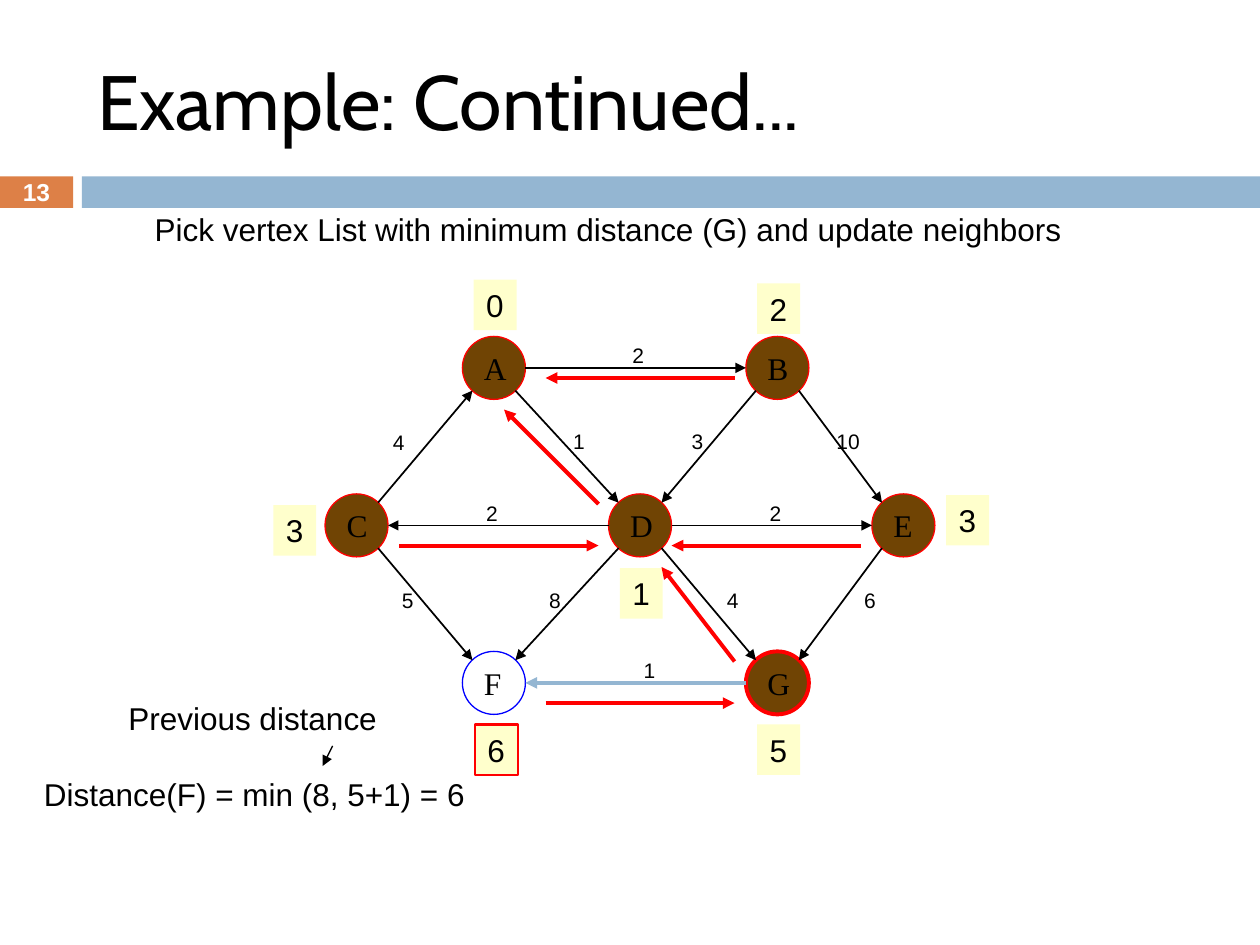
from math import copysign

from lxml.etree import SubElement
from pptx import Presentation
from pptx.dml.color import RGBColor
from pptx.enum.shapes import MSO_CONNECTOR, MSO_SHAPE
from pptx.enum.text import MSO_ANCHOR, MSO_AUTO_SIZE, PP_ALIGN
from pptx.oxml.ns import qn
from pptx.util import Inches, Pt

BLACK, WHITE, RED, BLUE = "000000", "FFFFFF", "FF0000", "94B6D2"
BROWN, CREAM, ORANGE = "704404", "FFFFCC", "DD8047"
SIZE = 0.5  # node diameter


def color(code):
    return RGBColor.from_string(code)


class Canvas:
    font = "Arial"

    def __init__(self, slide):
        self.slide = slide
        self.shapes = slide.shapes

    def letter(self, shape, text, size, font=None, ink=BLACK, bold=False,
               align=PP_ALIGN.LEFT, anchor=MSO_ANCHOR.MIDDLE, wrap=False):
        frame = shape.text_frame
        frame.text = text
        frame.word_wrap = wrap
        frame.auto_size = MSO_AUTO_SIZE.NONE
        frame.vertical_anchor = anchor
        para = frame.paragraphs[0]
        para.alignment = align
        style = para.runs[0].font
        style.name = font or self.font
        style.size = Pt(size)
        style.bold = bold
        style.color.rgb = color(ink)

    def title(self, text, *box):
        shape = self.shapes.title
        shape.left, shape.top, shape.width, shape.height = map(Inches, box)
        self.letter(shape, text, 44, font="Cabin", wrap=True)

    def shape(self, kind, box, fill=None, line=None, width=0.75):
        shape = self.shapes.add_shape(kind, *map(Inches, box))
        shape.shadow.inherit = False
        if fill:
            shape.fill.solid()
            shape.fill.fore_color.rgb = color(fill)
        else:
            shape.fill.background()
        if line:
            shape.line.color.rgb = color(line)
            shape.line.width = Pt(width)
        else:
            shape.line.fill.background()
        return shape

    def label(self, text, box, size, **style):
        self.letter(self.shapes.add_textbox(*map(Inches, box)), text, size, **style)

    def node(self, name, x, y, fill=BROWN, line=RED, width=0.75):
        box = (x - SIZE / 2, y - SIZE / 2, SIZE, SIZE)
        shape = self.shape(MSO_SHAPE.OVAL, box, fill, line, width)
        self.letter(shape, name, 18, font="Times New Roman")

    def badge(self, text, x, y, line=None):
        shape = self.shape(MSO_SHAPE.RECTANGLE, (x, y, 0.34, 0.4), CREAM, line, 1.25)
        self.letter(shape, text, 18, anchor=MSO_ANCHOR.TOP)

    def arrow(self, start, end, ink=BLACK, width=1):
        ends = map(Inches, (*start, *end))
        line = self.shapes.add_connector(MSO_CONNECTOR.STRAIGHT, *ends)
        line.line.color.rgb = color(ink)
        line.line.width = Pt(width)
        props = line.element.spPr
        SubElement(props.find(qn("a:ln")), qn("a:tailEnd"), type="triangle")
        SubElement(props, qn("a:effectLst"))

    def edge(self, start, end, ink=BLACK, width=1):
        """Join the rims of two nodes, level or at 45 degrees."""
        (x1, y1), (x2, y2) = start, end
        dx = copysign(0.25 if y1 == y2 else 0.17, x2 - x1)
        dy = 0 if y1 == y2 else copysign(0.18, y2 - y1)
        self.arrow((x1 + dx, y1 + dy), (x2 - dx, y2 - dy), ink, width)


def main():
    deck = Presentation()
    deck.slide_width, deck.slide_height = Inches(10), Inches(7.5)
    art = Canvas(deck.slides.add_slide(deck.slide_layouts[5]))

    # Title, band and slide number
    art.shape(MSO_SHAPE.RECTANGLE, (0, 1.4, 0.58, 0.25), ORANGE)
    art.shape(MSO_SHAPE.RECTANGLE, (0.65, 1.4, 9.35, 0.25), BLUE)
    art.title("Example: Continued...", 0.67, 0.25, 8.92, 1.08)
    art.label("13", (0, 1.39, 0.58, 0.27), 14, ink=WHITE, bold=True,
              align=PP_ALIGN.CENTER, wrap=True)

    # Graph nodes, by centre
    top, mid, low = 2.92, 4.17, 5.42
    nodes = {"A": (3.92, top), "B": (6.17, top), "C": (2.83, mid),
             "D": (5.08, mid), "E": (7.17, mid), "F": (3.92, low),
             "G": (6.17, low)}
    looks = {"F": {"fill": None, "line": "0000FF"}, "G": {"width": 2.25}}
    for name, spot in nodes.items():
        art.node(name, *spot, **looks.get(name, {}))

    # Edges with the place of each weight
    edges = [("AB", "2", 4.92, 2.67), ("CA", "4", 3.02, 3.36),
             ("AD", "1", 4.45, 3.35), ("BD", "3", 5.39, 3.35),
             ("BE", "10", 6.54, 3.35), ("DC", "2", 3.76, 3.92),
             ("DE", "2", 6.01, 3.92), ("CF", "5", 3.09, 4.61),
             ("DF", "8", 4.26, 4.61), ("DG", "4", 5.67, 4.61),
             ("EG", "6", 6.76, 4.61), ("GF", "1", 5.01, 5.17)]
    for (start, end), cost, x, y in edges:
        ink, width = (BLUE, 2.25) if start == "G" else (BLACK, 1)
        art.edge(nodes[start], nodes[end], ink, width)
        art.label(cost, (x, y, 0.38 if len(cost) > 1 else 0.29, 0.3), 12)

    # Distance badges
    for text, x, y in [("0", 3.76, 2.22), ("2", 6.01, 2.25), ("3", 2.17, 4.01),
                       ("3", 7.51, 3.93), ("1", 4.92, 4.51), ("5", 6.01, 5.75)]:
        art.badge(text, x, y)
    art.badge("6", 3.77, 5.75, RED)

    # Links back to the previous vertex
    for start, end in [((4.75, 4), (4, 3.25)), ((5.83, 3), (4.33, 3)),
                       ((6.83, 4.33), (5.33, 4.33)), ((5.83, 5.25), (5.25, 4.5)),
                       ((4.33, 5.58), (5.83, 5.58)), ((3.17, 4.33), (4.75, 4.33))]:
        art.arrow(start, end, RED, 2.25)

    # Captions
    art.label("Distance(F) = min (8, 5+1) = 6", (0.25, 6.1, 3.92, 0.4), 18,
              anchor=MSO_ANCHOR.TOP, wrap=True)
    art.label("Previous distance", (0.92, 5.5, 2.25, 0.4), 18,
              anchor=MSO_ANCHOR.TOP, wrap=True)
    art.arrow((2.64, 5.92), (2.56, 6.08), width=0.75)
    art.label("Pick vertex List with minimum distance (G) and update neighbors",
              (1.13, 1.62, 7.4, 0.4), 18, anchor=MSO_ANCHOR.TOP)

    deck.save("out.pptx")


if __name__ == "__main__":
    main()
